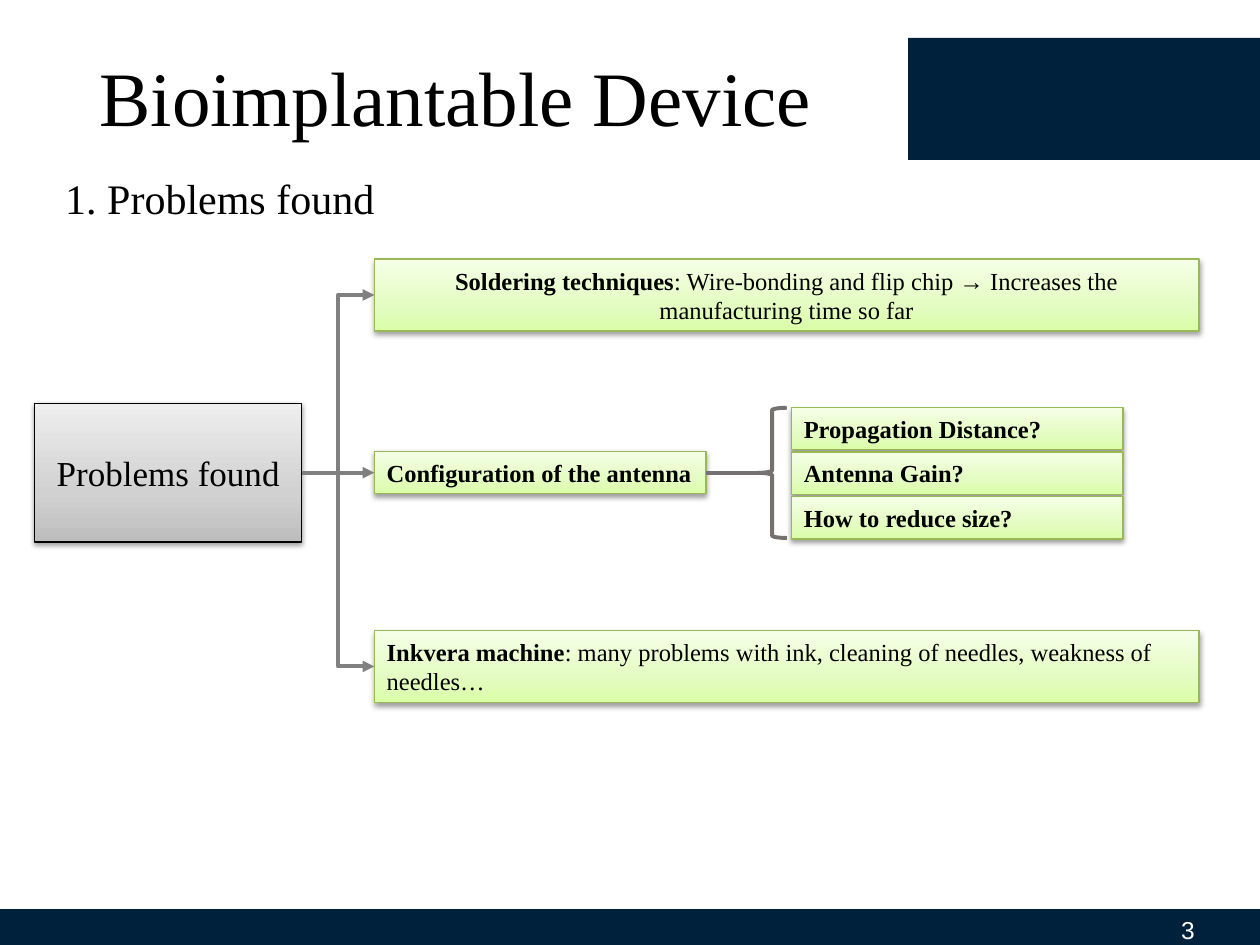
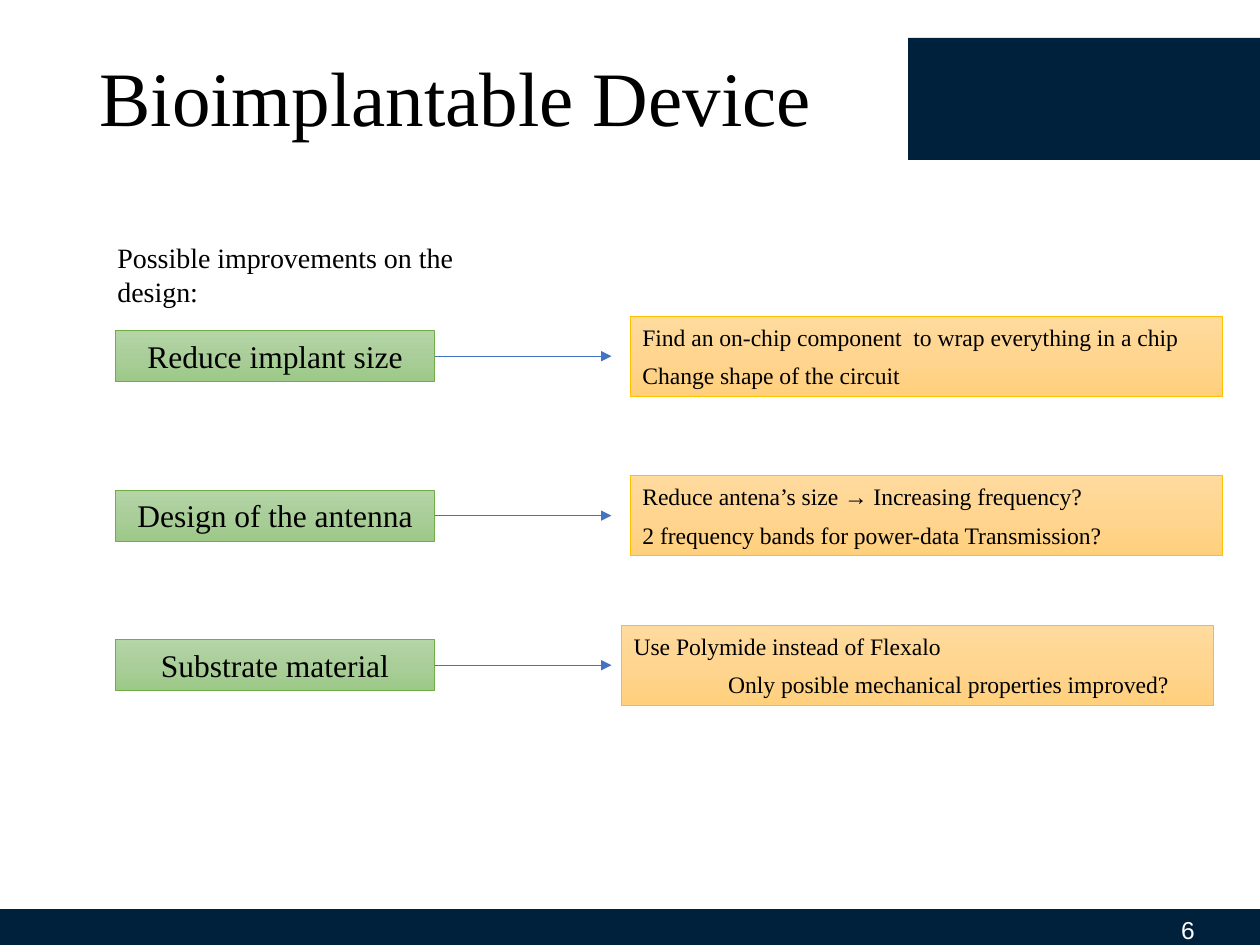
from dataclasses import dataclass
from typing import Any, Optional
import copy

import lxml.etree
import pptx
import pptx.dml.color
import pptx.enum.shapes
import pptx.enum.text
import pptx.oxml.ns
import pptx.util

Pt = pptx.util.Pt
RGBColor = pptx.dml.color.RGBColor
Align = pptx.enum.text.PP_ALIGN
Anchor = pptx.enum.text.MSO_ANCHOR
AutoSize = pptx.enum.text.MSO_AUTO_SIZE
ShapeKind = pptx.enum.shapes.MSO_SHAPE
LineKind = pptx.enum.shapes.MSO_CONNECTOR
qn = pptx.oxml.ns.qn

NAVY = RGBColor(0x00, 0x21, 0x3B)
WHITE = RGBColor(0xFF, 0xFF, 0xFF)
BLACK = RGBColor(0x00, 0x00, 0x00)
LIME_EDGE = RGBColor(0x98, 0xB9, 0x55)
LIME_STOPS = (RGBColor(0xDA, 0xFD, 0xA7), RGBColor(0xE4, 0xFC, 0xC2), RGBColor(0xF5, 0xFF, 0xE7))
GREY_STOPS = (RGBColor(0xBD, 0xBD, 0xBD), RGBColor(0xD1, 0xD1, 0xD1), RGBColor(0xEE, 0xEE, 0xEE))
GREEN_EDGE = RGBColor(0x70, 0xAD, 0x47)
GREEN_STOPS = (RGBColor(0xB5, 0xD5, 0xA7), RGBColor(0xAA, 0xCE, 0x9A), RGBColor(0x9C, 0xC9, 0x87))
AMBER_EDGE = RGBColor(0xFF, 0xC0, 0x00)
AMBER_STOPS = (RGBColor(0xFF, 0xDB, 0x9E), RGBColor(0xFF, 0xD5, 0x90), RGBColor(0xFF, 0xD0, 0x7C))
BRANCH_GREY = RGBColor(0x80, 0x80, 0x80)
BRACE_GREY = RGBColor(0x76, 0x71, 0x71)
ARROW_BLUE = RGBColor(0x44, 0x72, 0xC4)

SERIF, SANS = "Times New Roman", "Arial"
TITLE = "Bioimplantable Device"


@dataclass(frozen=True)
class Frame:
    left: float
    top: float
    width: float
    height: float

    @property
    def right(self) -> float:
        return self.left + self.width

    @property
    def middle(self) -> float:
        return self.top + self.height / 2

    def lengths(self) -> list:
        return [Pt(value) for value in (self.left, self.top, self.width, self.height)]


@dataclass(frozen=True)
class Span:
    text: str
    bold: bool = False


@dataclass(frozen=True)
class Para:
    spans: tuple[Span, ...]
    indent: float = 0


@dataclass(frozen=True)
class TextStyle:
    size: float
    font: str = SERIF
    color: RGBColor = BLACK
    align: Any = Align.LEFT
    anchor: Any = Anchor.TOP
    space_before: float = 0


@dataclass(frozen=True)
class BoxStyle:
    stops: tuple[RGBColor, ...]
    mid_stop: float
    angle: int
    edge: RGBColor
    edge_width: float
    shadow: bool = False


@dataclass(frozen=True)
class Improvement:
    goal: str
    top: float
    ideas: tuple[Para, ...]
    ideas_left: float = 360


TITLE_FRAME = Frame(49.7, 5.8, 620.6, 104.4)
CORNER_BAND = Frame(519, 21.6, 201, 69.8)
FOOTER_BAND = Frame(0, 519.6, 722.9, 22.4)
NUMBER_FRAME = Frame(540, 519.6, 149.8, 22.4)

LIME = BoxStyle(LIME_STOPS, 0.35, 90, LIME_EDGE, 0.75, True)
GREY = BoxStyle(GREY_STOPS, 0.35, 90, BLACK, 0.75, True)
GREEN = BoxStyle(GREEN_STOPS, 0.5, 270, GREEN_EDGE, 0.5)
AMBER = BoxStyle(AMBER_STOPS, 0.5, 270, AMBER_EDGE, 0.5)

PROBLEM_TEXT = TextStyle(14, anchor=Anchor.MIDDLE)
CENTERED_PROBLEM_TEXT = TextStyle(14, align=Align.CENTER, anchor=Anchor.MIDDLE)
ROOT_TEXT = TextStyle(20, align=Align.CENTER, anchor=Anchor.MIDDLE)
GOAL_TEXT = TextStyle(18, align=Align.CENTER)
IDEA_TEXT = TextStyle(13.5, space_before=6)


def apply_format(target: Any, values: dict) -> None:
    for name, value in values.items():
        setattr(target, name, value)


def plain(text: str, bold: bool = False, indent: float = 0) -> Para:
    return Para((Span(text, bold),), indent)


def write_text(shape: Any, paras: tuple[Para, ...], style: TextStyle) -> None:
    frame = shape.text_frame
    apply_format(frame, {"word_wrap": True, "auto_size": AutoSize.NONE,
                         "vertical_anchor": style.anchor})
    for index, para in enumerate(paras):
        line = frame.add_paragraph() if index else frame.paragraphs[0]
        apply_format(line, {"alignment": style.align, "space_before": Pt(style.space_before)})
        if para.indent:
            line._p.get_or_add_pPr().set("marL", str(Pt(para.indent)))
        for span in para.spans:
            run = line.add_run()
            run.text = span.text
            apply_format(run.font, {"name": style.font, "size": Pt(style.size), "bold": span.bold})
            run.font.color.rgb = style.color


def add_label(page: Any, frame: Frame, text: str, style: TextStyle) -> None:
    write_text(page.shapes.add_textbox(*frame.lengths()), (plain(text),), style)


def add_band(page: Any, frame: Frame) -> None:
    band = page.shapes.add_shape(ShapeKind.RECTANGLE, *frame.lengths())
    band.shadow.inherit = False
    band.fill.solid()
    band.fill.fore_color.rgb = NAVY
    band.line.fill.background()


def add_soft_shadow(shape: Any) -> None:
    effects = shape._element.spPr.find(qn("a:effectLst"))
    shadow = lxml.etree.SubElement(effects, qn("a:outerShdw"), blurRad=str(Pt(3.1)),
                                   dist=str(Pt(1.6)), dir="5400000", rotWithShape="0")
    color = lxml.etree.SubElement(shadow, qn("a:srgbClr"), val=str(BLACK))
    lxml.etree.SubElement(color, qn("a:alpha"), val="38000")


def add_box(page: Any, frame: Frame, look: BoxStyle, paras: tuple[Para, ...],
            style: TextStyle) -> None:
    box = page.shapes.add_shape(ShapeKind.RECTANGLE, *frame.lengths())
    box.shadow.inherit = False
    box.fill.gradient()
    box.fill.gradient_angle = look.angle
    stop_list = box._element.spPr.find(".//" + qn("a:gsLst"))
    stop_list.append(copy.deepcopy(stop_list[-1]))
    for stop, position, color in zip(box.fill.gradient_stops, (0, look.mid_stop, 1), look.stops):
        stop.position = position
        stop.color.rgb = color
    box.line.color.rgb = look.edge
    box.line.width = Pt(look.edge_width)
    if look.shadow:
        add_soft_shadow(box)
    write_text(box, paras, style)


def add_line(page: Any, start: tuple[float, float], end: tuple[float, float], color: RGBColor,
             width: float, arrow: bool = True, kind: Optional[Any] = None) -> None:
    ends = [Pt(value) for value in start + end]
    line = page.shapes.add_connector(kind or LineKind.STRAIGHT, *ends)
    line.line.color.rgb = color
    line.line.width = Pt(width)
    properties = line._element.spPr
    if arrow:
        lxml.etree.SubElement(properties.find(qn("a:ln")), qn("a:tailEnd"), type="triangle")
    lxml.etree.SubElement(properties, qn("a:effectLst"))


def add_page(deck: Any, number: int) -> Any:
    """Start a title-only page with the shared title, bands and page number."""
    page = deck.slides.add_slide(deck.slide_layouts[5])
    title = page.shapes.title
    apply_format(title, dict(zip(("left", "top", "width", "height"), TITLE_FRAME.lengths())))
    write_text(title, (plain(TITLE),), TextStyle(44, anchor=Anchor.MIDDLE))
    title.text_frame.paragraphs[0].line_spacing = 0.9
    add_band(page, CORNER_BAND)
    add_band(page, FOOTER_BAND)
    add_label(page, NUMBER_FRAME, str(number), TextStyle(14, SANS, WHITE, Align.RIGHT))
    return page


def build_problems(deck: Any) -> None:
    page = add_page(deck, 3)
    add_label(page, Frame(30.2, 95, 419, 36), "1. Problems found", TextStyle(24))
    root = Frame(19.8, 230.4, 152.6, 79.4)
    soldering = Frame(213.9, 148, 471.3, 41.2)
    antenna = Frame(213.9, 257.9, 189.5, 24.2)
    machine = Frame(213.9, 360.2, 471.3, 41.2)

    add_box(page, soldering, LIME, (Para((
        Span("Soldering techniques", True),
        Span(": Wire-bonding and flip chip → Increases the manufacturing time so far"))),),
        CENTERED_PROBLEM_TEXT)
    add_box(page, antenna, LIME, (plain("Configuration of the antenna", True),), PROBLEM_TEXT)
    add_box(page, machine, LIME, (Para((
        Span("Inkvera machine", True),
        Span(": many problems with ink, cleaning of needles, weakness of needles…"))),),
        PROBLEM_TEXT)
    add_box(page, root, GREY, (plain("Problems found"),), ROOT_TEXT)

    for target in (soldering, antenna, machine):
        kind = LineKind.STRAIGHT if target is antenna else LineKind.ELBOW
        end_y = root.middle if target is antenna else target.middle
        add_line(page, (root.right, root.middle), (target.left, end_y),
                 BRANCH_GREY, 2.25, kind=kind)

    questions = ("Propagation Distance?", "Antenna Gain?", "How to reduce size?")
    for index, question in enumerate(questions):
        add_box(page, Frame(452.2, 232.8 + 25.5 * index, 189.5, 24.2), LIME,
                (plain(question, True),), PROBLEM_TEXT)

    brace_frame = Frame(432.8, 233, 16.8, 74.4)
    brace = page.shapes.add_shape(ShapeKind.LEFT_BRACE, *brace_frame.lengths())
    brace.shadow.inherit = False
    brace.fill.background()
    brace.line.color.rgb = BRACE_GREY
    brace.line.width = Pt(2.25)
    add_line(page, (antenna.right, brace_frame.middle), (brace_frame.left, brace_frame.middle),
             BRACE_GREY, 2.25, arrow=False)


def build_improvements(deck: Any) -> None:
    page = add_page(deck, 6)
    add_label(page, Frame(60, 133.9, 250.6, 26.6), "Possible improvements on the design:",
              TextStyle(16))
    improvements = (
        Improvement("Reduce implant size", 189, (
            plain("Find an on-chip component  to wrap everything in a chip"),
            plain("Change shape of the circuit"))),
        Improvement("Design of the antenna", 280.1, (
            plain("Reduce antena’s size → Increasing frequency?"),
            plain("2 frequency bands for power-data Transmission?"))),
        Improvement("Substrate material", 365.6, (
            plain("Use Polymide instead of Flexalo"),
            plain("Only posible mechanical properties improved?", indent=54)), 355),
    )
    for item in improvements:
        goal = Frame(66, item.top, 182.4, 29.1)
        add_box(page, goal, GREEN, (plain(item.goal),), GOAL_TEXT)
        add_line(page, (goal.right, goal.middle), (349.4, goal.middle), ARROW_BLUE, 0.5)
        add_box(page, Frame(item.ideas_left, item.top - 8.3, 338.6, 45.9), AMBER,
                item.ideas, IDEA_TEXT)


def main() -> None:
    deck = pptx.Presentation()
    apply_format(deck, {"slide_width": Pt(720), "slide_height": Pt(540)})
    build_problems(deck)
    build_improvements(deck)
    deck.save("out.pptx")


if __name__ == "__main__":
    main()
